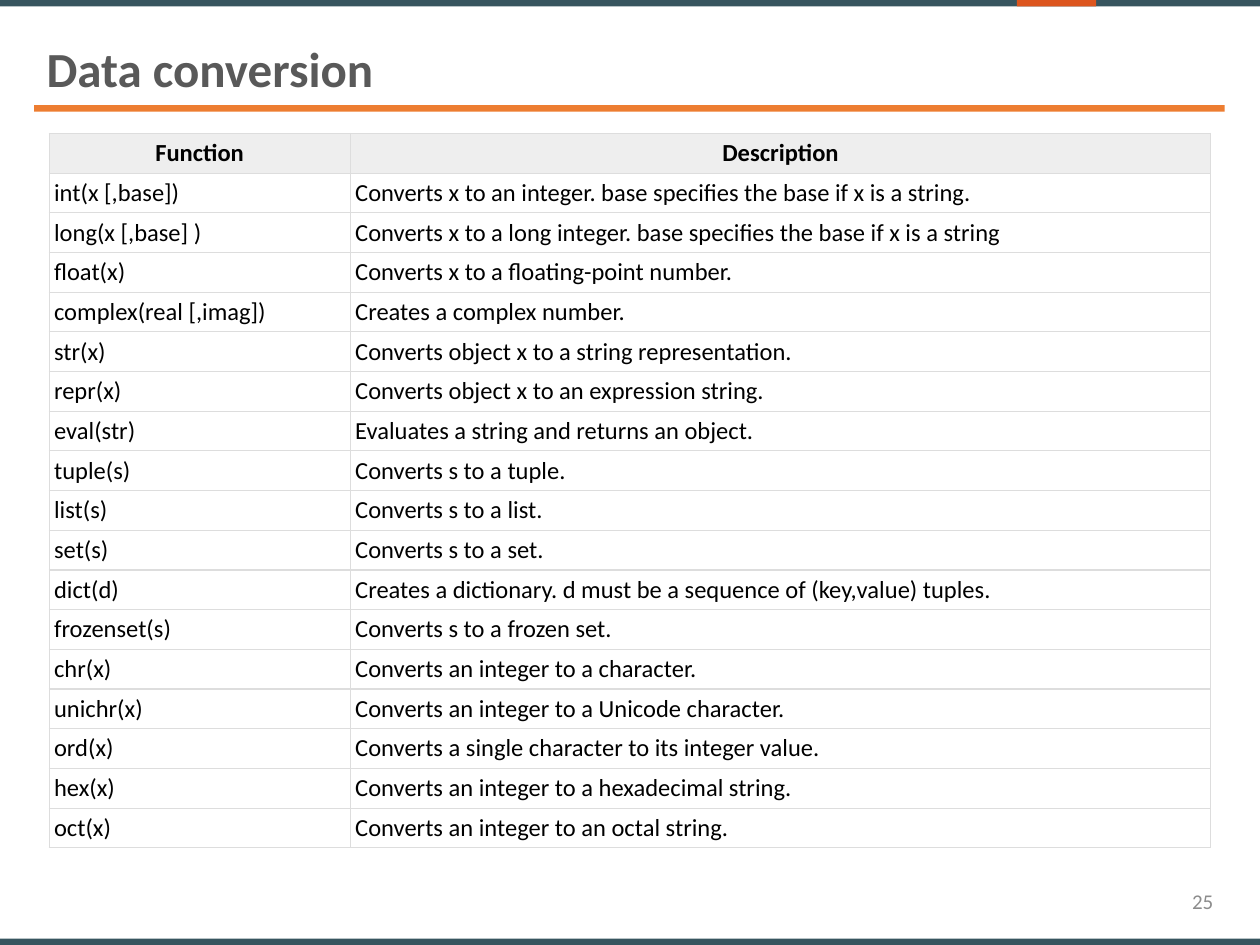
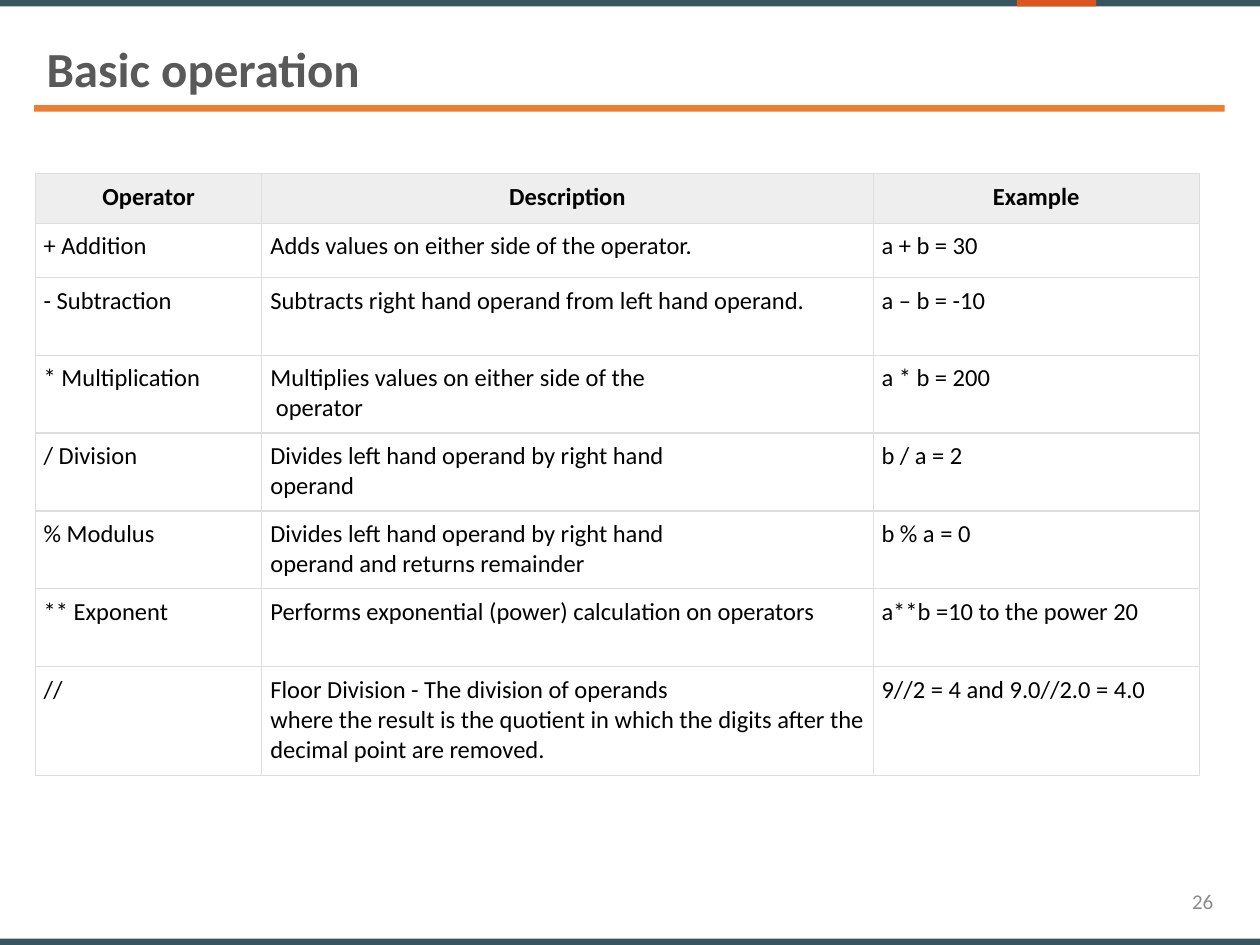
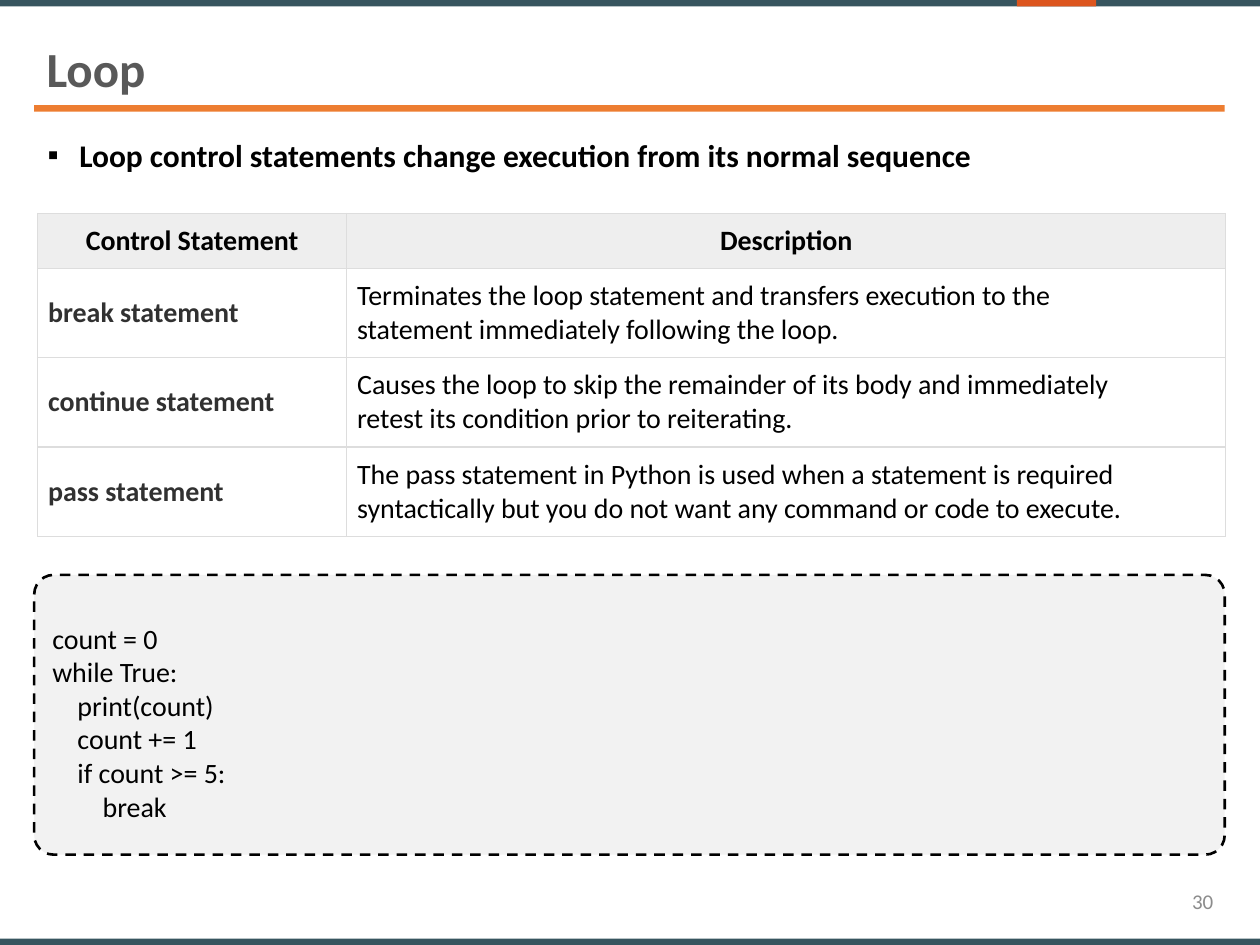
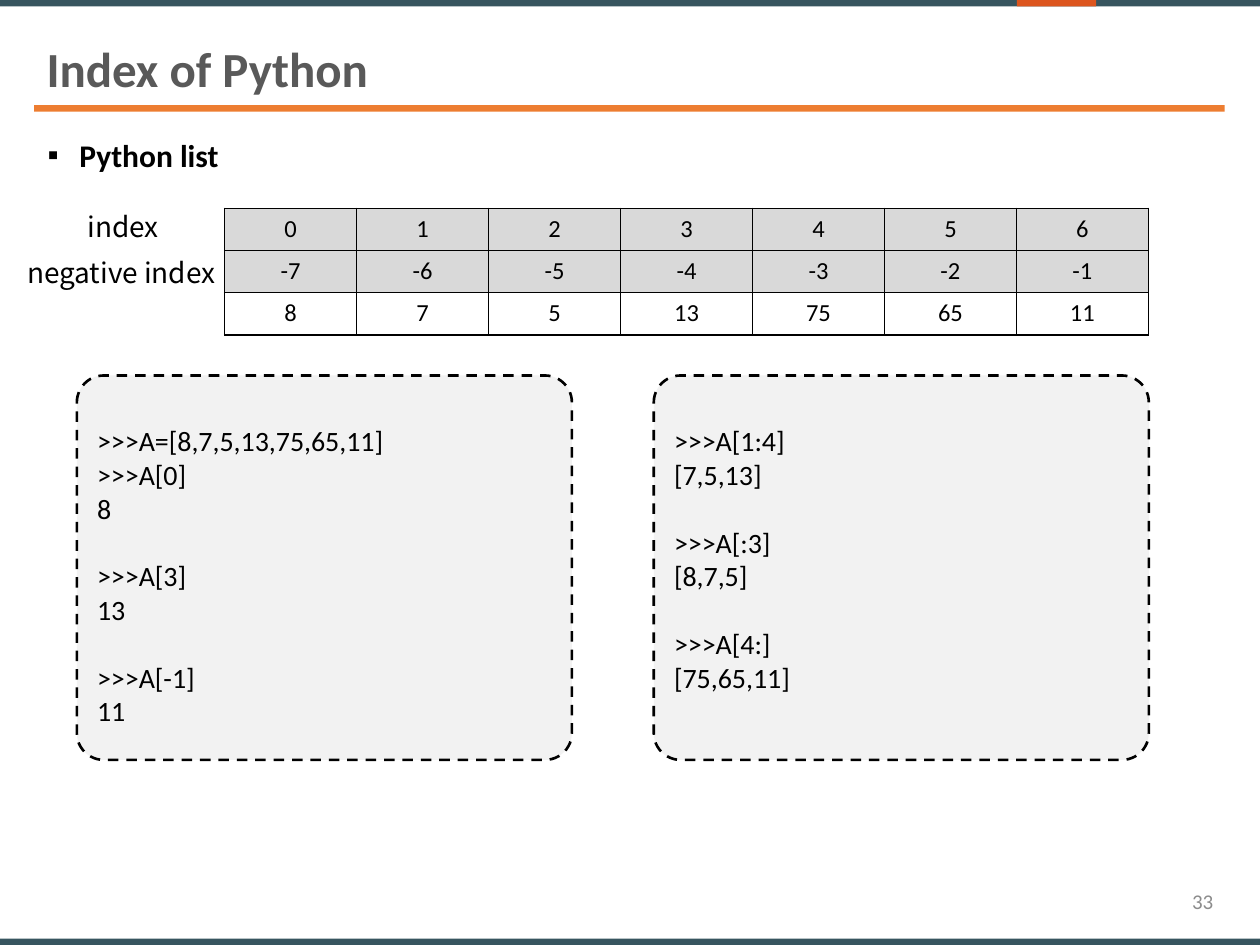
from copy import deepcopy
from dataclasses import dataclass

from lxml import etree
from pptx import Presentation
from pptx import util as u
from pptx.dml.color import RGBColor
from pptx.enum import dml, shapes, text
from pptx.oxml import ns


@dataclass(frozen=True)
class Theme:
    font: str = "Calibri"
    label_font: str = "Noto Sans CJK KR"
    band: str = "37555F"
    accent: str = "DC551E"
    rule: str = "ED7D31"
    title: str = "595959"
    number: str = "8C8C8C"
    ink: str = "000000"
    soft_ink: str = "313131"
    grid: str = "DDDDDD"
    header_fill: str = "EEEEEE"
    index_fill: str = "D9D9D9"
    code_fill: str = "F2F2F2"
    title_size: int = 28
    bullet_size: int = 18
    code_size: int = 16
    cell_size: int = 14
    number_size: int = 12


THEME = Theme()
ALIGN = text.PP_ALIGN
PAGE_WIDTH, PAGE_HEIGHT = 25.4, 19.05
LEFT, CONTENT_WIDTH = 0.69, 24.0
CODE_LINE = 19.5  # height of one code line, in points

CONVERSIONS = [
    ("Function", "Description"),
    ("int(x [,base])", "Converts x to an integer. base specifies the base if x is a string."),
    ("long(x [,base] )", "Converts x to a long integer. base specifies the base if x is a string"),
    ("float(x)", "Converts x to a floating-point number."),
    ("complex(real [,imag])", "Creates a complex number."),
    ("str(x)", "Converts object x to a string representation."),
    ("repr(x)", "Converts object x to an expression string."),
    ("eval(str)", "Evaluates a string and returns an object."),
    ("tuple(s)", "Converts s to a tuple."),
    ("list(s)", "Converts s to a list."),
    ("set(s)", "Converts s to a set."),
    ("dict(d)", "Creates a dictionary. d must be a sequence of (key,value) tuples."),
    ("frozenset(s)", "Converts s to a frozen set."),
    ("chr(x)", "Converts an integer to a character."),
    ("unichr(x)", "Converts an integer to a Unicode character."),
    ("ord(x)", "Converts a single character to its integer value."),
    ("hex(x)", "Converts an integer to a hexadecimal string."),
    ("oct(x)", "Converts an integer to an octal string."),
]

OPERATORS = [
    ("Operator", "Description", "Example"),
    ("+ Addition", "Adds values on either side of the operator.", "a + b = 30"),
    ("- Subtraction", "Subtracts right hand operand from left hand operand.", "a – b = -10"),
    ("* Multiplication", "Multiplies values on either side of the\n operator", "a * b = 200"),
    ("/ Division", "Divides left hand operand by right hand\noperand", "b / a = 2"),
    ("% Modulus", "Divides left hand operand by right hand\noperand and returns remainder",
     "b % a = 0"),
    ("** Exponent", "Performs exponential (power) calculation on operators",
     "a**b =10 to the power 20"),
    ("//", "Floor Division - The division of operands\nwhere the result is the quotient in "
     "which the digits after the decimal point are removed.", "9//2 = 4 and 9.0//2.0 = 4.0"),
]

CONTROLS = [
    ("Control Statement", "Description"),
    ("break statement", "Terminates the loop statement and transfers execution to the\n"
     "statement immediately following the loop."),
    ("continue statement", "Causes the loop to skip the remainder of its body and immediately\n"
     "retest its condition prior to reiterating."),
    ("pass statement", "The pass statement in Python is used when a statement is required "
     "syntactically but you do not want any command or code to execute."),
]

LIST_VALUES = [8, 7, 5, 13, 75, 65, 11]
COUNT = len(LIST_VALUES)
INDEXES = [range(COUNT), range(-COUNT, 0), LIST_VALUES]
INDEX_LABELS = [("index", 1.52, 4.09, 1.96), ("negative index", 0.3, 5.03, 4.34)]

# Each inner list is a group of lines; groups are set one line apart.
LOOP_CODE = [["count = 0", "while True:", "    print(count)", "    count += 1",
              "    if count >= 5:", "        break"]]
INDEX_CODE = [
    [[">>>A=[8,7,5,13,75,65,11]", ">>>A[0]", "8"], [">>>A[3]", "13"], [">>>A[-1]", "11"]],
    [[">>>A[1:4]", "[7,5,13]"], [">>>A[:3]", "[8,7,5]"], [">>>A[4:]", "[75,65,11]"]],
]


def cm(*lengths):
    return [u.Cm(length) for length in lengths]


def style(para, size, color=THEME.ink, bold=False, font=THEME.font):
    """Format the runs of a paragraph and give its line breaks the same format."""
    for span in para.runs:
        span.font.size = u.Pt(size)
        span.font.name = font
        span.font.bold = bold
        span.font.color.rgb = RGBColor.from_string(color)
    for line_break in para._p.findall(ns.qn("a:br")):
        line_break.insert(0, deepcopy(para.runs[0]._r.rPr))


def add_text(page, words, place, size, **look):
    box = page.shapes.add_textbox(*cm(*place))
    box.text_frame.word_wrap = True
    para = box.text_frame.paragraphs[0]
    para.text = words
    style(para, size, **look)
    return box.text_frame


def add_bar(page, color, *place):
    bar = page.shapes.add_shape(shapes.MSO_SHAPE.RECTANGLE, *cm(*place))
    bar.shadow.inherit = False
    bar.fill.solid()
    bar.fill.fore_color.rgb = RGBColor.from_string(color)
    bar.line.fill.background()


def add_page(deck, title, number):
    """Add a blank slide with the bands, title and page number all slides share."""
    page = deck.slides.add_slide(deck.slide_layouts[6])
    add_bar(page, THEME.band, 0, 0, PAGE_WIDTH, 0.13)
    add_bar(page, THEME.accent, 20.5, 0, 1.6, 0.13)
    add_bar(page, THEME.band, 0, PAGE_HEIGHT - 0.13, PAGE_WIDTH, 0.13)
    add_bar(page, THEME.rule, LEFT, 2.12, CONTENT_WIDTH, 0.13)
    frame = add_text(page, title, (LEFT, 0.79, CONTENT_WIDTH, 1.35),
                     THEME.title_size, color=THEME.title, bold=True)
    frame.paragraphs[0].line_spacing = 0.9
    frame = add_text(page, str(number), (19.0, 17.65, 5.71, 1.02),
                     THEME.number_size, color=THEME.number)
    frame.vertical_anchor = text.MSO_ANCHOR.MIDDLE
    frame.paragraphs[0].alignment = ALIGN.RIGHT
    return page


def add_bullet(page, words):
    frame = add_text(page, words, (0.71, 2.51, CONTENT_WIDTH, 16.1),
                     THEME.bullet_size, bold=True)
    para = frame.paragraphs[0]
    props = para._p.get_or_add_pPr()
    props.set("marL", str(u.Cm(0.64)))
    props.set("indent", str(-u.Cm(0.64)))
    etree.SubElement(props, ns.qn("a:buFont"), typeface="Arial")
    etree.SubElement(props, ns.qn("a:buChar"), char="▪")
    para.line_spacing = 1.14


def add_borders(cell, color, width):
    props = cell._tc.get_or_add_tcPr()
    for side in ("lnL", "lnR", "lnT", "lnB"):
        line = etree.SubElement(props, ns.qn(f"a:{side}"), w=str(u.Pt(width)))
        fill = etree.SubElement(line, ns.qn("a:solidFill"))
        etree.SubElement(fill, ns.qn("a:srgbClr"), val=color)


def add_grid(page, rows, corner, widths, heights, inset, size=THEME.cell_size,
             align=ALIGN.LEFT, anchor=text.MSO_ANCHOR.TOP, border=(THEME.grid, 0.75),
             shaded_rows=1, shade=THEME.header_fill, bold_header=True, label_color=None):
    """Add a table; a label_color makes the first column bold in that colour."""
    place = (*corner, sum(widths), sum(heights))
    table = page.shapes.add_table(len(rows), len(widths), *cm(*place)).table
    table.first_row = table.horz_banding = False
    for column, width in zip(table.columns, widths):
        column.width = u.Cm(width)
    for r, (row, height) in enumerate(zip(rows, heights)):
        table.rows[r].height = u.Cm(height)
        header = bold_header and r == 0
        for c, words in enumerate(row):
            label = bool(label_color) and c == 0 and not header
            cell = table.cell(r, c)
            cell.margin_left = cell.margin_right = u.Cm(inset[0])
            cell.margin_top = cell.margin_bottom = u.Cm(inset[1])
            cell.vertical_anchor = anchor
            add_borders(cell, *border)
            if r < shaded_rows:
                cell.fill.solid()
                cell.fill.fore_color.rgb = RGBColor.from_string(shade)
            else:
                cell.fill.background()
            para = cell.text_frame.paragraphs[0]
            para.text = str(words).replace("\n", "\v")
            para.alignment = ALIGN.CENTER if header else align
            style(para, size, label_color if label else THEME.ink, header or label)


def add_code(page, groups, *place):
    box = page.shapes.add_shape(shapes.MSO_SHAPE.ROUNDED_RECTANGLE, *cm(*place))
    box.adjustments[0] = 0.07
    box.shadow.inherit = False
    box.fill.solid()
    box.fill.fore_color.rgb = RGBColor.from_string(THEME.code_fill)
    box.line.color.rgb = RGBColor.from_string(THEME.ink)
    box.line.width = u.Pt(1.5)
    box.line.dash_style = dml.MSO_LINE.DASH
    frame = box.text_frame
    frame.word_wrap = True
    frame.vertical_anchor = text.MSO_ANCHOR.TOP
    frame.margin_top = u.Cm(0.13) + u.Pt(CODE_LINE)
    frame.text = "\n".join(line for group in groups for line in group)
    starts = [sum(map(len, groups[:g])) for g in range(1, len(groups))]
    for p, para in enumerate(frame.paragraphs):
        para.alignment = ALIGN.LEFT
        if p in starts:
            para.space_before = u.Pt(CODE_LINE)
        style(para, THEME.code_size)


def build_conversion(deck):
    page = add_page(deck, "Data conversion", 25)
    add_grid(page, CONVERSIONS, (0.99, 2.69), [6.07, 17.35], [0.8] * len(CONVERSIONS),
             (0.1, 0.1), align=ALIGN.JUSTIFY)


def build_operation(deck):
    page = add_page(deck, "Basic operation", 26)
    add_grid(page, OPERATORS, (0.71, 3.5), [4.57, 12.32, 6.58],
             [1.0, 1.09] + [1.57] * 5 + [2.2], (0.17, 0.17))


def build_loop(deck):
    page = add_page(deck, "Loop", 30)
    add_bullet(page, "Loop control statements change execution from its normal sequence")
    add_grid(page, CONTROLS, (0.76, 4.3), [6.23, 17.72], [1.11] + [1.8] * 3, (0.21, 0.21),
             size=THEME.code_size, anchor=text.MSO_ANCHOR.MIDDLE, label_color=THEME.soft_ink)
    add_code(page, LOOP_CODE, LEFT, 11.59, CONTENT_WIDTH, 5.64)


def build_index(deck):
    page = add_page(deck, "Index of Python", 33)
    add_bullet(page, "Python list")
    add_grid(page, INDEXES, (4.53, 4.2), [2.66] * COUNT, [0.85] * len(INDEXES),
             (0.25, 0.12), align=ALIGN.CENTER, border=(THEME.ink, 1), shaded_rows=2,
             shade=THEME.index_fill, bold_header=False)
    for words, left, top, width in INDEX_LABELS:
        frame = add_text(page, words, (left, top, width, 0.94), THEME.code_size,
                         font=THEME.label_font)
        frame.word_wrap = False
    for b, groups in enumerate(INDEX_CODE):
        add_code(page, groups, 1.55 + b * 11.63, 7.57, 9.98, 7.75)


def main():
    deck = Presentation()
    deck.slide_width, deck.slide_height = cm(PAGE_WIDTH, PAGE_HEIGHT)
    for build in (build_conversion, build_operation, build_loop, build_index):
        build(deck)
    deck.save("out.pptx")


if __name__ == "__main__":
    main()
